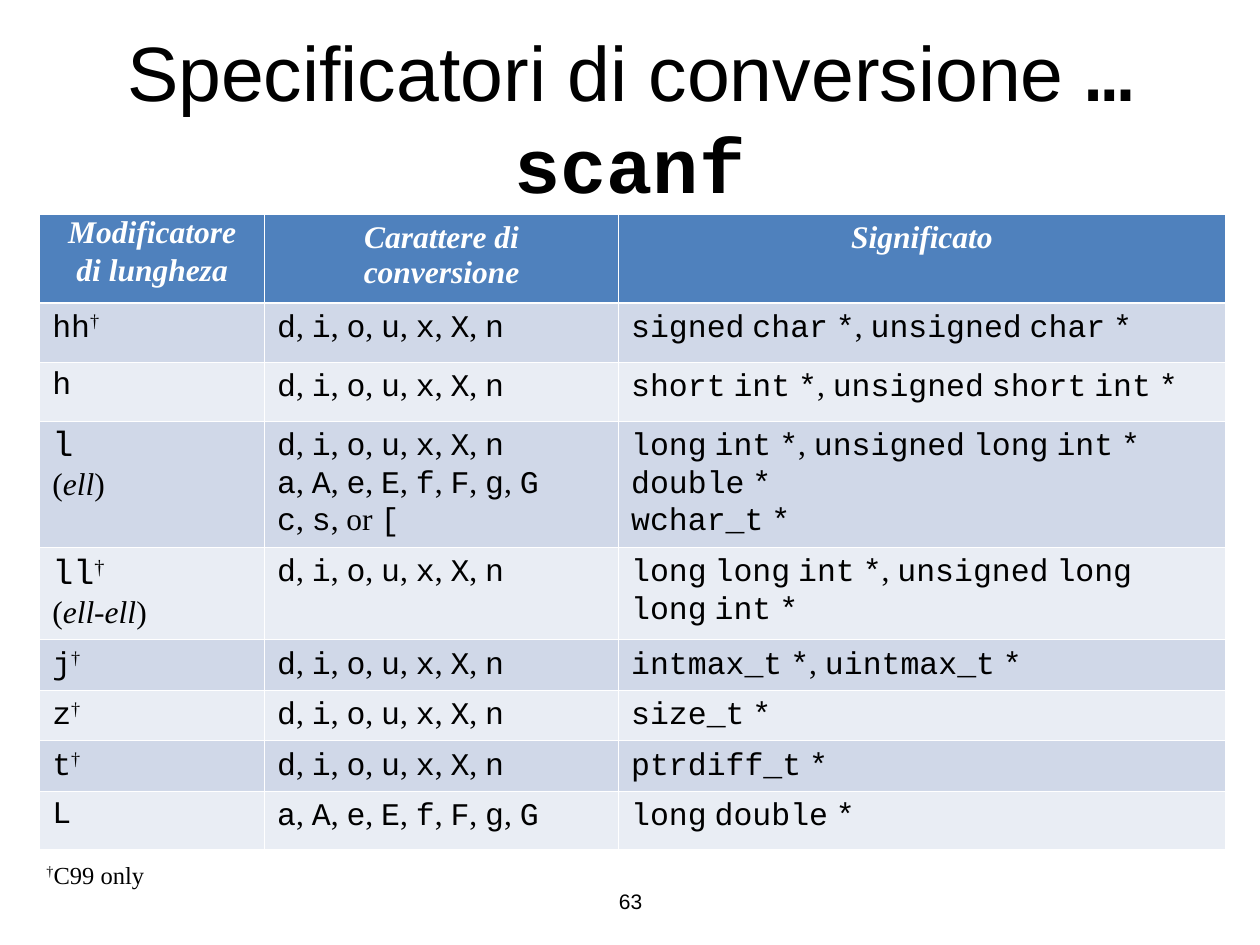
"""Build the slide on scanf conversion specifiers."""
from itertools import groupby
from lxml import etree
from pptx import Presentation
from pptx import util as u
from pptx.dml.color import RGBColor
from pptx.enum import text
from pptx.oxml.ns import qn

HUES = {"ink": "000000", "head": "4F81BD", "odd": "D0D8E8", "even": "E9EDF4", "line": "FFFFFF"}
SERIF, MONO, SANS = "Times New Roman", "Courier New", "Arial"
STYLES = {
    "title": {"name": SANS, "size": 44},
    "func": {"name": MONO, "size": 44, "bold": True},
    "head": {"name": SERIF, "size": 18, "bold": True, "italic": True, "hue": "line"},
    "code": {"name": MONO, "size": 18},
    "big": {"name": MONO, "size": 20},
    "plain": {"name": SERIF, "size": 18},
    "slant": {"name": SERIF, "size": 18, "italic": True},
    "mark": {"name": SERIF, "size": 18, "base": 30},
    "bigmark": {"name": SERIF, "size": 20, "base": 30},
    "note": {"name": SERIF, "size": 14},
    "notemark": {"name": SERIF, "size": 14, "base": 30},
    "page": {"name": SANS, "size": 12},
}
CENTER = {"alignment": text.PP_ALIGN.CENTER}
TIGHT = {"line_spacing": 0.8}
BOXES = [
    ((36, 21.6, 648, 90), text.MSO_ANCHOR.MIDDLE, CENTER,
     [("Specificatori di conversione ", "title"), ("…scanf", "func")]),
    ((19.44, 491, 102, 28), text.MSO_ANCHOR.TOP, TIGHT,
     [("†", "notemark"), ("C99 only", "note")]),
    ((246.24, 500.4, 228.24, 28.8), text.MSO_ANCHOR.MIDDLE, CENTER, [("63", "page")]),
]

INTS = "d, i, o, u, x, X, n"
REALS = "a, A, e, E, f, F, g, G"
SCANS = [("c", "code"), (", ", "plain"), ("s", "code"), (", or ", "plain"), ("[", "code")]
ELL = [("l", "big"), ("\n", ""), ("(", "plain"), ("ell", "slant"), (")", "plain")]
TWO = [("ll", "big"), ("†", "bigmark")]
PAIR = [("(", "plain"), ("ell-ell", "slant"), (")", "plain")]
HEADS = [["Modificatore", "di lungheza"], ["Carattere di", "conversione"], ["Significato"]]
ROWS = [
    [["hh†"], [INTS], ["signed char *, unsigned char *"]],
    [["h"], [INTS], ["short int *, unsigned short int *"]],
    [[ELL], [INTS, REALS, SCANS],
     ["long int *, unsigned long int *", "double *", "wchar_t *"]],
    [[TWO, PAIR], [INTS], ["long long int *, unsigned long long int *"]],
    [["j†"], [INTS], ["intmax_t *, uintmax_t *"]],
    [["z†"], [INTS], ["size_t *"]],
    [["t†"], [INTS], ["ptrdiff_t *"]],
    [["L"], [REALS], ["long double *"]],
]
LEFT, TOP = 22.7, 122.6
WIDTHS = [128.5, 202.3, 346.7]
HEIGHTS = [50.4, 34, 33.6, 72, 53, 28.8, 28.8, 28.8, 33.2]


def kind(char):
    return {"†": "mark", " ": "plain", ",": "plain"}.get(char, "code")


def split(line):
    return [("".join(part), style) for style, part in groupby(line, kind)]


def write(para, parts, form):
    for key, val in form.items():
        setattr(para, key, val)
    for words, style in parts:
        if words == "\n":
            para.add_line_break()
            continue
        run = para.add_run()
        run.text = words
        look = {"bold": False, "italic": False, "hue": "ink", "base": 0, **STYLES[style]}
        run.font.color.rgb = RGBColor.from_string(HUES[look.pop("hue")])
        base = look.pop("base")
        look["size"] = u.Pt(look["size"])
        for key, val in look.items():
            setattr(run.font, key, val)
        if base:
            run._r.get_or_add_rPr().set("baseline", str(base * 1000))


def border(cell, sides):
    props = cell._tc.get_or_add_tcPr()
    for spot, (side, wide) in enumerate(sides.items()):
        line = etree.Element(qn("a:ln" + side), w=str(u.Pt(wide)))
        fill = etree.SubElement(line, qn("a:solidFill"))
        etree.SubElement(fill, qn("a:srgbClr"), val=HUES["line"])
        props.insert(spot, line)


def fill_cell(cell, row, col, paras):
    cell.fill.solid()
    hue = "odd" if row % 2 else "even"
    cell.fill.fore_color.rgb = RGBColor.from_string(HUES[hue if row else "head"])
    border(cell, {"L": 0.45, "R": 0.45, "T": 1.47 if row == 1 else 0.45,
                  "B": 0.45 if row else 1.47})
    frame = cell.text_frame
    for spot, line in enumerate(paras):
        para = frame.add_paragraph() if spot else frame.paragraphs[0]
        form = {}
        if row == 0:
            form = {**CENTER, **(TIGHT if col == 0 else {})}
            if spot and col == 0:
                form["space_before"] = u.Pt(6)
            line = [(line, "head")]
        write(para, split(line) if isinstance(line, str) else line, form)


def main():
    deck = Presentation()
    deck.slide_width, deck.slide_height = u.Pt(720), u.Pt(540)
    slide = deck.slides.add_slide(deck.slide_layouts[6])
    for place, anchor, form, parts in BOXES:
        frame = slide.shapes.add_textbox(*map(u.Pt, place)).text_frame
        frame.word_wrap = True
        frame.vertical_anchor = anchor
        write(frame.paragraphs[0], parts, form)
    size = (LEFT, TOP, sum(WIDTHS), sum(HEIGHTS))
    grid = slide.shapes.add_table(len(HEIGHTS), len(WIDTHS), *map(u.Pt, size)).table
    for col, wide in zip(grid.columns, WIDTHS):
        col.width = u.Pt(wide)
    for row, high in zip(grid.rows, HEIGHTS):
        row.height = u.Pt(high)
    for row, cells in enumerate([HEADS, *ROWS]):
        for col, paras in enumerate(cells):
            fill_cell(grid.cell(row, col), row, col, paras)
    deck.save("out.pptx")


if __name__ == "__main__":
    main()
